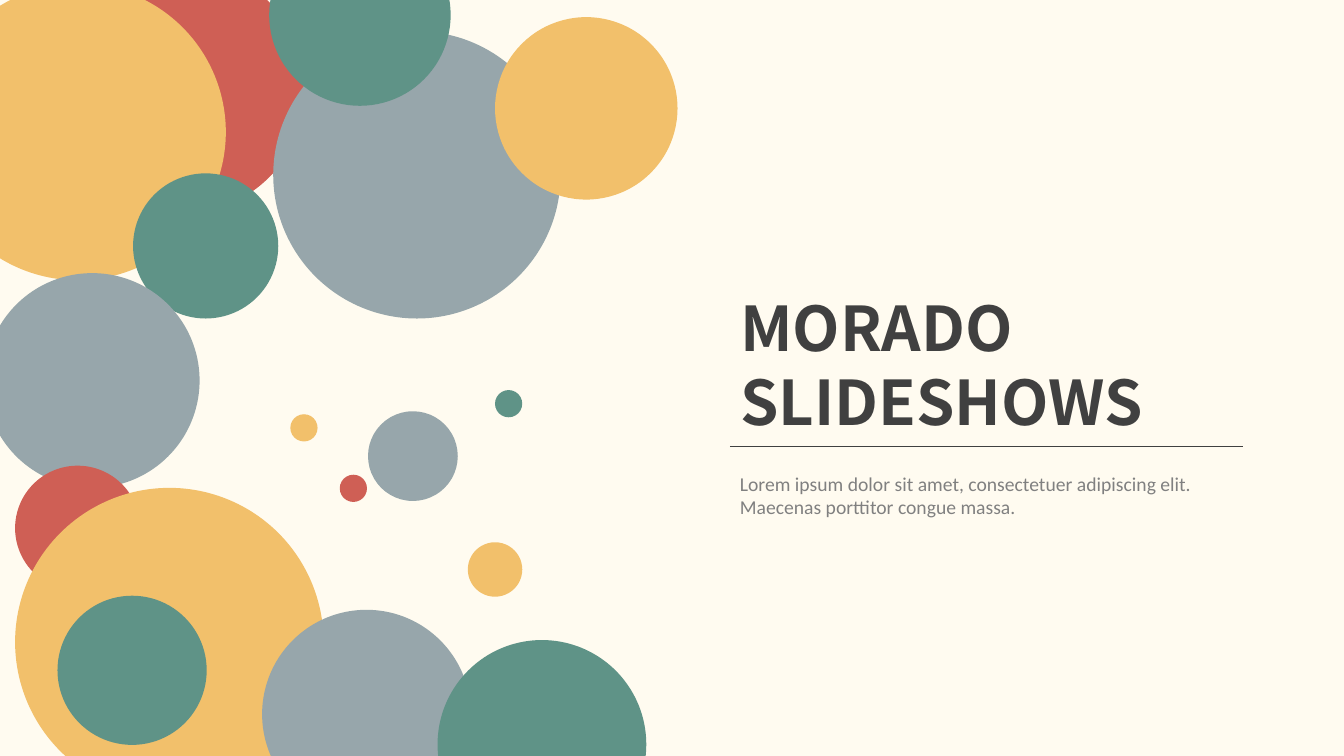
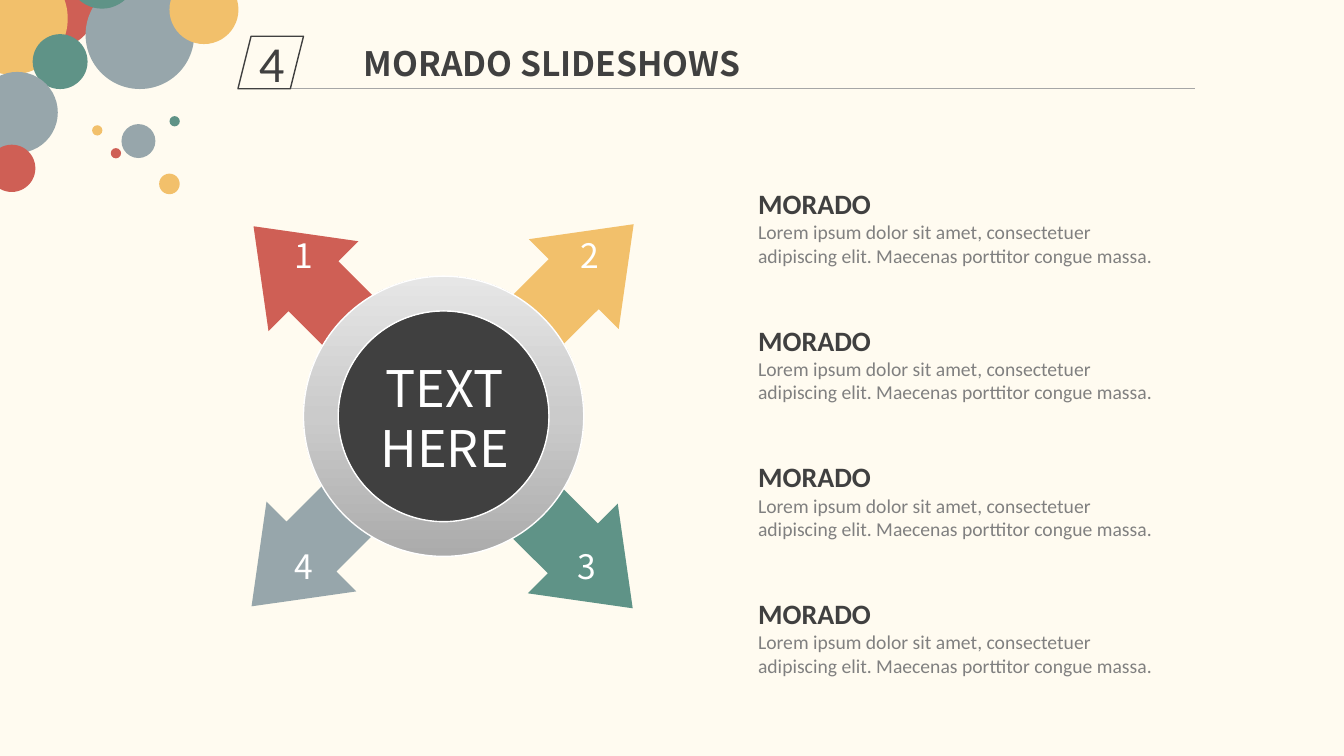
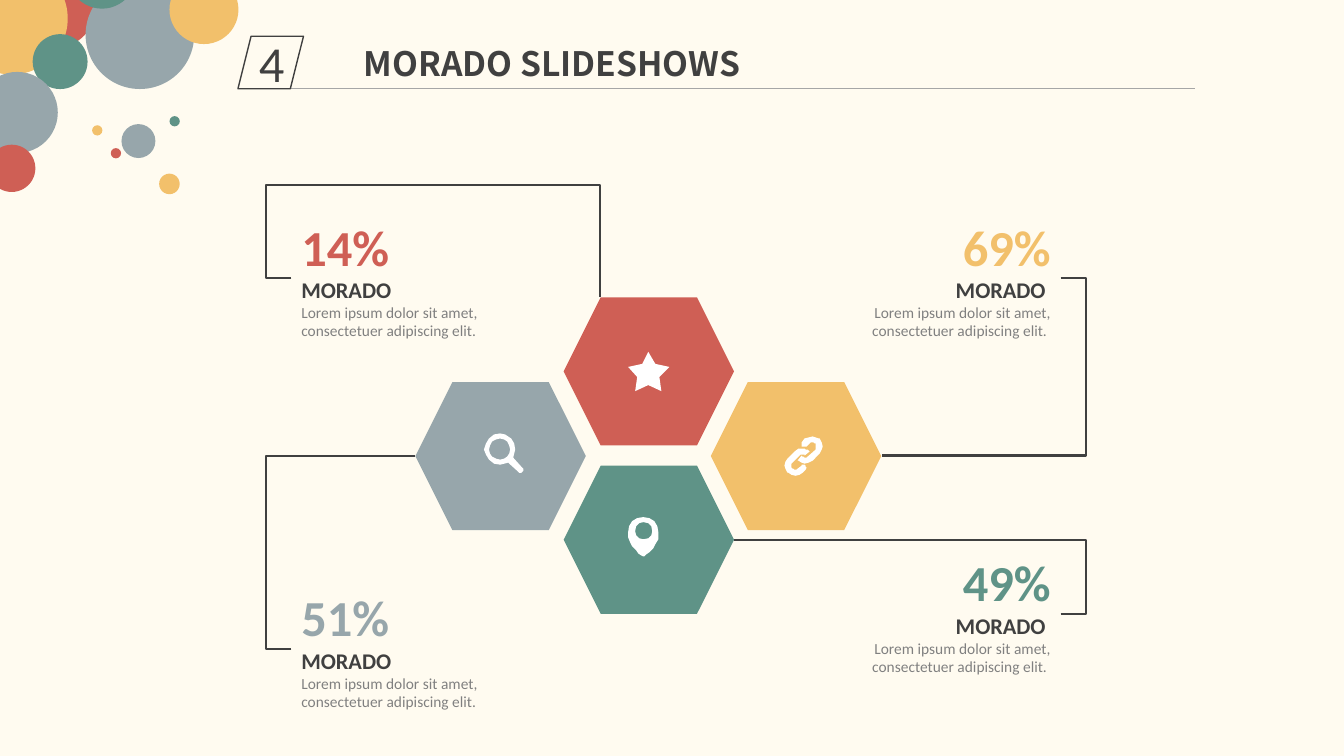
"""Build three bubble-themed slides: a cover, an arrow wheel and a hexagon infographic."""
from copy import deepcopy
from lxml import etree
from pptx import Presentation
from pptx.dml.color import RGBColor
from pptx.enum import shapes, text
from pptx.oxml.ns import qn
from pptx.util import Pt

PX = 9144
WIDTH, HEIGHT = 1333, 750
CREAM = RGBColor(0xFF, 0xFB, 0xF0)
RED = RGBColor(0xCF, 0x5F, 0x55)
YELLOW = RGBColor(0xF2, 0xC0, 0x6B)
GREEN = RGBColor(0x5F, 0x93, 0x87)
SLATE = RGBColor(0x97, 0xA6, 0xAB)
DARK = RGBColor(0x40, 0x40, 0x40)
GRAY = RGBColor(0x80, 0x80, 0x80)
RULE = RGBColor(0xA6, 0xA6, 0xA6)
WHITE = RGBColor(0xFF, 0xFF, 0xFF)
RING = [RGBColor(0xAB, 0xAB, 0xAB), RGBColor(0xCB, 0xCB, 0xCB), RGBColor(0xE6, 0xE6, 0xE6)]
HEAD_FONT, BODY_FONT = "Noto Sans CJK SC", "Calibri"
LEFT, CENTER, RIGHT = text.PP_ALIGN.LEFT, text.PP_ALIGN.CENTER, text.PP_ALIGN.RIGHT
PRESET = shapes.MSO_SHAPE

SECTION, HEADING, LABEL = "4", "MORADO SLIDESHOWS", "MORADO"
SENTENCE = "Lorem ipsum dolor sit amet, consectetuer adipiscing elit."
LOREM = SENTENCE + " Maecenas porttitor congue massa."

UPPER_BUBBLES = [
    (57, -34, 246, RED), (-70, -16, 294, YELLOW), (132, 172, 144, GREEN),
    (-15, 271, 213, SLATE), (271, 31, 285, SLATE), (267, -75, 180, GREEN),
    (15, 462, 124, RED),
]
LOWER_BUBBLES = [
    (15, 484, 306, YELLOW), (57, 591, 148, GREEN), (260, 605, 207, SLATE),
    (434, 635, 207, GREEN),
]
FLOATING_BUBBLES = [
    (365, 408, 89, SLATE), (337, 471, 27, RED), (288, 411, 27, YELLOW),
    (491, 387, 27, GREEN), (464, 538, 54, YELLOW), (491, 17, 181, YELLOW),
]
CORNER_BUBBLES = (UPPER_BUBBLES[:5] + [(224, -75, 180, GREEN)] + UPPER_BUBBLES[6:]
                  + FLOATING_BUBBLES)
CORNER_SCALE, CORNER_X, CORNER_Y = 0.378, -17.5, -31.1

ARROWS = [
    ("3", 491, 426, 135, GREEN, 562, 537), ("4", 260, 424, 225, SLATE, 281, 537),
    ("1", 262, 194, 315, RED, 281, 228), ("2", 492, 192, 45, YELLOW, 565, 228),
]

STAR = [[(643, 349), (650, 361), (664, 364), (654, 374), (656, 388), (643, 382),
         (630, 388), (632, 374), (623, 364), (637, 361)]]
PIN = [
    [(638, 518), (634, 519), (631, 522), (630, 527), (631, 531), (634, 534), (638, 535),
     (643, 534), (646, 531), (647, 527), (646, 522), (643, 519)],
    [(638, 513), (644, 514), (649, 517), (652, 522), (653, 528), (653, 530), (653, 535),
     (650, 540), (648, 544), (644, 548), (641, 550), (639, 552), (638, 552), (636, 551),
     (633, 549), (631, 546), (627, 542), (625, 538), (623, 533), (623, 528), (624, 522),
     (627, 517), (632, 514)],
]
LENS = [
    [(496, 435), (492, 436), (488, 438), (486, 442), (485, 446), (486, 450), (488, 453),
     (492, 455), (496, 456), (500, 455), (503, 453), (505, 450), (506, 446), (505, 442),
     (503, 438), (500, 436)],
    [(496, 430), (501, 431), (507, 435), (510, 440), (511, 446), (510, 450), (509, 454),
     (518, 464), (519, 465), (519, 467), (518, 468), (517, 469), (515, 469), (514, 468),
     (504, 459), (500, 460), (496, 461), (490, 460), (485, 456), (482, 451), (480, 446),
     (482, 440), (485, 435), (490, 431)],
]
CHAIN = [
    [(795, 445), (798, 445), (799, 446), (801, 446), (802, 447), (803, 448), (798, 452),
     (798, 451), (796, 451), (794, 451), (793, 452), (786, 459), (785, 460), (785, 464),
     (786, 465), (787, 465), (788, 466), (790, 466), (791, 465), (795, 462), (795, 461),
     (798, 461), (799, 462), (799, 463), (800, 464), (799, 466), (796, 469), (793, 471),
     (789, 472), (785, 471), (782, 469), (781, 469), (779, 465), (778, 462), (779, 458),
     (781, 455), (788, 448), (792, 445)],
    [(806, 433), (809, 434), (812, 435), (813, 435), (815, 439), (816, 443), (815, 446),
     (813, 450), (806, 457), (802, 459), (798, 460), (795, 459), (792, 457), (791, 457),
     (795, 452), (796, 453), (797, 453), (798, 454), (800, 454), (801, 453), (809, 446),
     (809, 440), (808, 440), (807, 439), (804, 439), (803, 440), (800, 443), (795, 443),
     (795, 439), (798, 435), (802, 434)],
]

HEX_W, HEX_H = 169, 147
HEX_RIGHT, HEX_LEFT, HEX_TOP_LEFT = 0, 3, 4
ELBOW_REACH, ELBOW_TOP = 25, 184
STATS = [
    dict(value="14%", color=RED, hexagon=(559, 295), icon=STAR, card=(289, 209, 267),
         align=LEFT, site=HEX_TOP_LEFT, end=(595, 295)),
    dict(value="49%", color=GREEN, hexagon=(559, 462), icon=PIN, card=(811, 542, 241),
         align=RIGHT, site=HEX_RIGHT, end=(728, 536)),
    dict(value="51%", color=SLATE, hexagon=(412, 379), icon=LENS, card=(289, 577, 253),
         align=LEFT, site=HEX_LEFT, end=(412, 452)),
    dict(value="69%", color=YELLOW, hexagon=(705, 379), icon=CHAIN, card=(818, 209, 234),
         align=RIGHT, site=HEX_RIGHT, end=(875, 452)),
]
CARD_H = 135


def px(*lengths):
    return [round(length * PX) for length in lengths]


def write(frame, lines, align=LEFT, wrap=True):
    frame.word_wrap = wrap
    for index, (words, size, color, bold, font) in enumerate(lines):
        paragraph = frame.paragraphs[0] if index == 0 else frame.add_paragraph()
        paragraph.alignment = align
        run = paragraph.add_run()
        run.text = words
        run.font.size, run.font.bold, run.font.name = Pt(size), bold, font
        run.font.color.rgb = color


def add_text(slide, box, lines, align=LEFT, wrap=True):
    holder = slide.shapes.add_textbox(*px(*box))
    write(holder.text_frame, lines, align, wrap)
    holder.text_frame.auto_size = text.MSO_AUTO_SIZE.SHAPE_TO_FIT_TEXT
    return holder


def paint(shape, color):
    shape.shadow.inherit = False
    shape.line.fill.background()
    if color is None:
        shape.fill.background()
    else:
        shape.fill.solid()
        shape.fill.fore_color.rgb = color
    return shape


def add_shape(parent, preset, box, color, adjustments=()):
    shape = parent.shapes.add_shape(preset, *px(*box))
    for index, value in enumerate(adjustments):
        shape.adjustments[index] = value
    return paint(shape, color)


def add_line(slide, start, end, color, weight, kind=shapes.MSO_CONNECTOR.STRAIGHT):
    line = slide.shapes.add_connector(kind, *px(*start, *end))
    line.line.color.rgb, line.line.width = color, Pt(weight)
    etree.SubElement(line.element.spPr, qn("a:effectLst"))
    return line


def add_elbow(slide, card, card_side, start, hexagon, site, end):
    elbow = add_line(slide, start, end, DARK, 1.5, shapes.MSO_CONNECTOR.ELBOW)
    links = elbow.element.find(".//" + qn("p:cNvCxnSpPr"))
    for tag, shape, index in (("a:stCxn", card, card_side), ("a:endCxn", hexagon, site)):
        etree.SubElement(links, qn(tag), id=str(shape.shape_id), idx=str(index))
    bends = [-ELBOW_REACH / abs(end[0] - start[0])]
    geometry = elbow.element.spPr.find(qn("a:prstGeom"))
    if site == HEX_TOP_LEFT:
        geometry.set("prst", "bentConnector4")
        bends.append((ELBOW_TOP - start[1]) / (end[1] - start[1]))
    guides = geometry.find(qn("a:avLst"))
    if guides is None:
        guides = etree.SubElement(geometry, qn("a:avLst"))
    for index, bend in enumerate(bends, 1):
        etree.SubElement(guides, qn("a:gd"), name=f"adj{index}", fmla=f"val {round(bend * 100000)}")


def add_icon(slide, contours):
    builder = slide.shapes.build_freeform(*contours[0][0], scale=PX)
    for index, points in enumerate(contours):
        if index:
            builder.move_to(*points[0])
        builder.add_line_segments(points[1:], close=True)
    paint(builder.convert_to_shape(), WHITE)


def add_bubbles(parent, bubbles, scale=1, dx=0, dy=0):
    for x, y, size, color in bubbles:
        box = (x * scale + dx, y * scale + dy, size * scale, size * scale)
        add_shape(parent, PRESET.OVAL, box, color)


def set_title(slide, box, lines):
    title = slide.shapes.title
    title.left, title.top, title.width, title.height = px(*box)
    write(title.text_frame, lines)
    title.text_frame.vertical_anchor = text.MSO_ANCHOR.TOP
    title.text_frame.auto_size = text.MSO_AUTO_SIZE.SHAPE_TO_FIT_TEXT


def new_slide(deck):
    return deck.slides.add_slide(deck.slide_layouts[5])


def add_header(slide):
    corner = slide.shapes.add_group_shape()
    add_bubbles(corner, CORNER_BUBBLES, CORNER_SCALE, CORNER_X, CORNER_Y)
    add_line(slide, (284, 88), (1185, 88), RULE, 0.5)
    tag = add_shape(slide, PRESET.PARALLELOGRAM, (236, 36, 65, 52), None)
    tag.line.color.rgb, tag.line.width = DARK, Pt(1)
    write(tag.text_frame, [(SECTION, 36, DARK, False, BODY_FONT)], CENTER)
    tag.text_frame.vertical_anchor = text.MSO_ANCHOR.MIDDLE
    set_title(slide, (351, 38, 513, 50), [(HEADING, 24, DARK, True, HEAD_FONT)])


def build_cover(deck):
    slide = new_slide(deck)
    add_bubbles(slide, UPPER_BUBBLES + LOWER_BUBBLES + FLOATING_BUBBLES)
    set_title(slide, (724, 283, 560, 158),
              [(word, 44, DARK, True, HEAD_FONT) for word in HEADING.split()])
    add_line(slide, (724, 443), (1233, 443), DARK, 0.5)
    add_text(slide, (724, 463, 472, 57), [(LOREM, 14, GRAY, False, BODY_FONT)])


def build_wheel(deck):
    slide = new_slide(deck)
    for number, x, y, angle, color, *spot in ARROWS:
        arrow = add_shape(slide, PRESET.UP_ARROW, (x, y, 126, 208), color, (0.556, 0.667))
        arrow.rotation = angle
    hub = (301, 274, 278, 278)
    add_shape(slide, PRESET.OVAL, hub, DARK)
    ring = add_shape(slide, PRESET.DONUT, hub, WHITE, (0.124,))
    ring.line.color.rgb, ring.line.width = WHITE, Pt(1)
    ring.fill.gradient()
    ring.fill.gradient_angle = 90
    stops = ring.element.spPr.find(".//" + qn("a:gsLst"))
    stops.insert(1, deepcopy(stops[0]))
    for index, stop in enumerate(ring.fill.gradient_stops):
        stop.color.rgb, stop.position = RING[index], index / 2
    for number, x, y, angle, color, *spot in ARROWS:
        add_text(slide, (*spot, 40, 50), [(number, 24, WHITE, False, HEAD_FONT)], CENTER, False)
    add_text(slide, (367, 349, 148, 131),
             [(word, 36, WHITE, False, HEAD_FONT) for word in ("TEXT", "HERE")], CENTER, False)
    for row in range(len(ARROWS)):
        add_text(slide, (742, 180 + row * 407 / 3, 412, 91),
                 [(LABEL, 20, DARK, True, BODY_FONT), (LOREM, 14, GRAY, False, BODY_FONT)])
    add_header(slide)


def build_hexagons(deck):
    slide = new_slide(deck)
    for stat in STATS:
        hexagon = add_shape(slide, PRESET.HEXAGON, (*stat["hexagon"], HEX_W, HEX_H),
                            stat["color"], (0.25,))
        add_icon(slide, stat["icon"])
        x, y, width = stat["card"]
        on_right = stat["align"] == RIGHT
        tail = " " if on_right else ""
        card = add_text(slide, (x, y, width, CARD_H), [
            (stat["value"], 36, stat["color"], True, BODY_FONT),
            (LABEL + tail, 16, DARK, True, BODY_FONT),
            (SENTENCE + tail, 11, GRAY, False, BODY_FONT),
        ], stat["align"])
        start = (x + width if on_right else x, y + CARD_H // 2)
        add_elbow(slide, card, 3 if on_right else 1, start, hexagon, stat["site"], stat["end"])
    add_header(slide)


def main():
    deck = Presentation()
    deck.slide_width, deck.slide_height = px(WIDTH, HEIGHT)
    backdrop = deck.slide_master.background.fill
    backdrop.solid()
    backdrop.fore_color.rgb = CREAM
    for build in (build_cover, build_wheel, build_hexagons):
        build(deck)
    deck.save("out.pptx")


if __name__ == "__main__":
    main()
